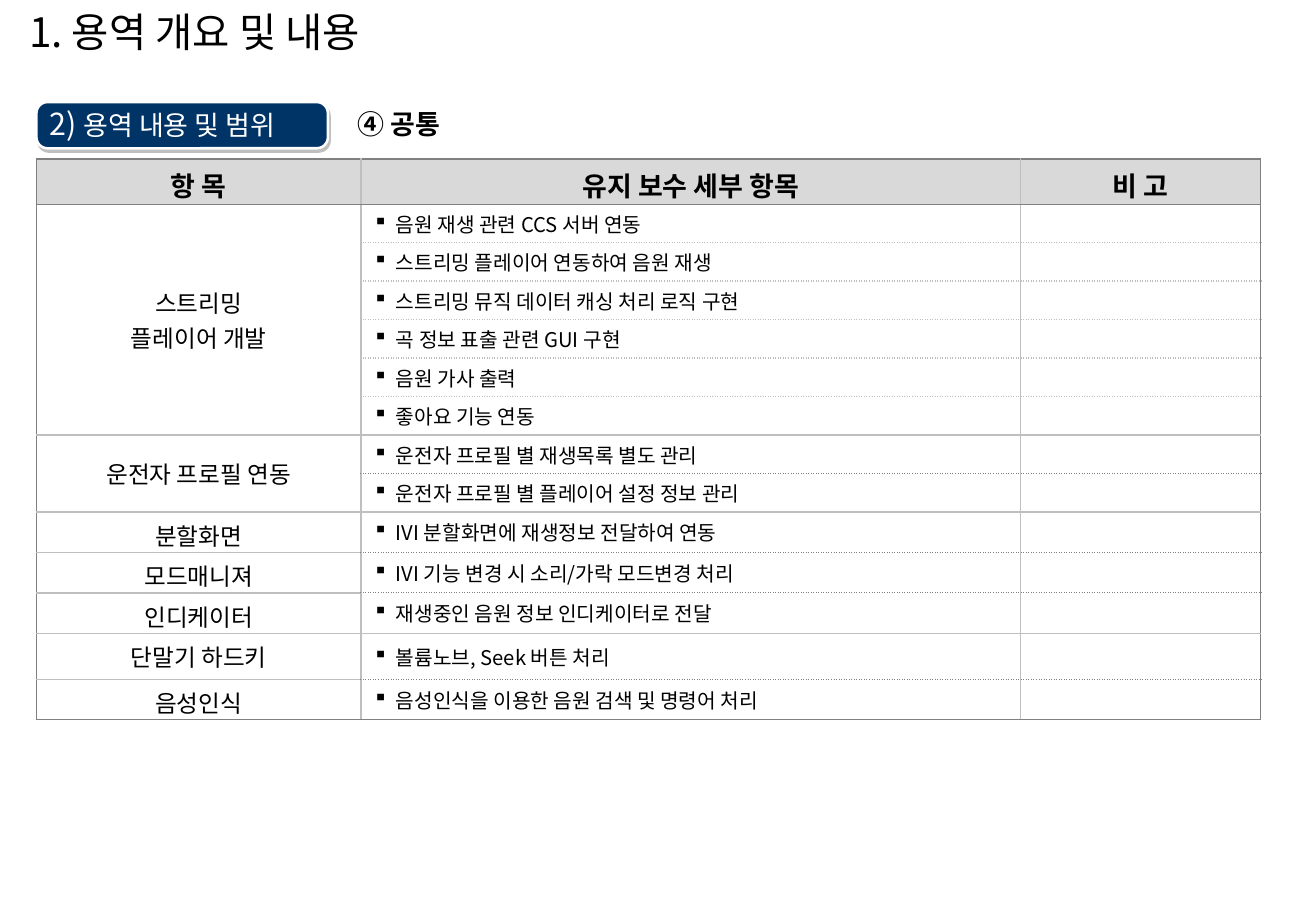
from pptx import Presentation
from pptx.dml.color import RGBColor
from pptx.enum.shapes import MSO_SHAPE as Shape
from pptx.enum.text import MSO_ANCHOR as Anchor, MSO_AUTO_SIZE as Fit, PP_ALIGN as Align
from pptx.oxml.ns import qn
from pptx.util import Pt
from lxml.etree import SubElement as Sub

FONT = "Noto Sans CJK KR"
BLACK, WHITE, NAVY = "000000", "FFFFFF", "003366"
GREY, LIGHT, HEAD = "808080", "BFBFBF", "D9D9D9"

DARK_LINE, LINE = (GREY, 1, "solid"), (LIGHT, 1, "solid")
DOTS, FINE = (LIGHT, 1, "sysDot"), (GREY, 0.5, "sysDot")

COLS = (192.4, 390.8, 142.4)
TITLES = ("항 목", "유지 보수 세부 항목", "비 고")
TOP, SLIM, LOW, TALL = 26.8, 22.8, 24, 27.3
ROWS = [
    ("스트리밍\n플레이어 개발", "음원 재생 관련 CCS 서버 연동", SLIM, DOTS),
    ("", "스트리밍 플레이어 연동하여 음원 재생", SLIM, DOTS),
    ("", "스트리밍 뮤직 데이터 캐싱 처리 로직 구현", SLIM, DOTS),
    ("", "곡 정보 표출 관련 GUI 구현", SLIM, DOTS),
    ("", "음원 가사 출력", SLIM, DOTS),
    ("", "좋아요 기능 연동", SLIM, LINE),
    ("운전자 프로필 연동", "운전자 프로필 별 재생목록 별도 관리", SLIM, FINE),
    ("", "운전자 프로필 별 플레이어 설정 정보 관리", SLIM, LINE),
    ("분할화면", "IVI 분할화면에 재생정보 전달하여 연동", LOW, FINE),
    ("모드매니져", "IVI 기능 변경 시 소리/가락 모드변경 처리", LOW, FINE),
    ("인디케이터", "재생중인 음원 정보 인디케이터로 전달", LOW, LINE),
    ("단말기 하드키", "볼륨노브, Seek 버튼 처리", TALL, FINE),
    ("음성인식", "음성인식을 이용한 음원 검색 및 명령어 처리", LOW, DARK_LINE),
]


def hue(code):
    return RGBColor.from_string(code)


def write(para, text, size=12, color=BLACK, bold=False, align=Align.LEFT, bullet=None):
    props = para._p.get_or_add_pPr()
    if bullet:
        props.set("marL", str(Pt(13.5)))
        props.set("indent", str(-Pt(13.5)))
        Sub(props, qn("a:buChar"), char=bullet)
    para.alignment = align
    if not text:
        Sub(para._p, qn("a:endParaRPr"), sz=str(size * 100))
        return
    run = para.add_run()
    run.text = text
    font = run.font
    font.size, font.bold, font.name = Pt(size), bold, FONT
    font.color.rgb = hue(color)
    Sub(run._r.get_or_add_rPr(), qn("a:ea"), typeface=FONT)


class Page:
    """Holds the deck, its style and the current slide."""

    def __init__(self, width, height):
        self.deck = Presentation()
        self.deck.slide_width, self.deck.slide_height = Pt(width), Pt(height)
        self.slide = self.deck.slides.add_slide(self.deck.slide_layouts[5])
        self.shapes = self.slide.shapes

    def title(self, text, *box):
        head = self.shapes.title
        head.left, head.top, head.width, head.height = map(Pt, box)
        frame = head.text_frame
        frame.auto_size, frame.vertical_anchor = Fit.NONE, Anchor.MIDDLE
        write(frame.paragraphs[0], text, size=24)

    def label(self, text, *box):
        frame = self.shapes.add_textbox(*map(Pt, box)).text_frame
        frame.word_wrap, frame.auto_size = False, Fit.SHAPE_TO_FIT_TEXT
        write(frame.paragraphs[0], text, size=16, bold=True, align=Align.CENTER)

    def badge(self, parts, *box):
        tag = self.shapes.add_shape(Shape.ROUNDED_RECTANGLE, *map(Pt, box))
        tag.adjustments[0] = 0.24
        tag.fill.solid()
        tag.fill.fore_color.rgb = hue(NAVY)
        tag.line.color.rgb, tag.line.width = hue(WHITE), Pt(1.5)
        tag.shadow.inherit = False
        effect = tag._element.spPr.find(qn("a:effectLst"))
        cast = Sub(effect, qn("a:outerShdw"), blurRad="0", dist=str(Pt(2.2)),
                   dir=str(63 * 60000), algn="ctr", rotWithShape="0")
        tint = Sub(cast, qn("a:srgbClr"), val=GREY)
        Sub(tint, qn("a:alpha"), val="50000")
        frame = tag.text_frame
        frame.word_wrap, frame.vertical_anchor = True, Anchor.MIDDLE
        frame.margin_left = Pt(6)
        frame.margin_top = frame.margin_right = frame.margin_bottom = 0
        para = frame.paragraphs[0]
        para.line_spacing = 0.9
        for text, size in parts:
            write(para, text, size=size, color=WHITE)

    def cell(self, cell, text, edges, fill=WHITE, drop=0, **style):
        cell.vertical_anchor = Anchor.MIDDLE
        cell.margin_top, cell.margin_bottom = Pt(drop), 0
        frame = cell.text_frame
        for i, line in enumerate(text.split("\n")):
            write(frame.add_paragraph() if i else frame.paragraphs[0], line, **style)
        props = cell._tc.get_or_add_tcPr()
        for side, edge in zip("LRTB", edges):
            if edge:
                color, width, dash = edge
                line = Sub(props, qn("a:ln" + side), w=str(Pt(width)))
                Sub(Sub(line, qn("a:solidFill")), qn("a:srgbClr"), val=color)
                Sub(line, qn("a:prstDash"), val=dash)
        cell.fill.solid()
        cell.fill.fore_color.rgb = hue(fill)

    def table(self, left, top):
        highs = [TOP] + [row[2] for row in ROWS]
        size = map(Pt, (left, top, sum(COLS), sum(highs)))
        grid = self.shapes.add_table(len(highs), len(COLS), *size).table
        for col, width in zip(grid.columns, COLS):
            col.width = Pt(width)
        for row, high in zip(grid.rows, highs):
            row.height = Pt(high)
        sides = [(DARK_LINE, LINE), (LINE, LINE), (LINE, DARK_LINE)]
        for c, text in enumerate(TITLES):
            self.cell(grid.cell(0, c), text, (*sides[c], DARK_LINE, DARK_LINE),
                      fill=HEAD, drop=3.6, size=16, bold=True, align=Align.CENTER)
        starts = [r for r, row in enumerate(ROWS, 1) if row[0]] + [len(highs)]
        above = near = DARK_LINE
        for r, (name, task, high, under) in enumerate(ROWS, 1):
            base = LINE if r + 1 in starts else None
            if r == len(ROWS):
                base = DARK_LINE
            self.cell(grid.cell(r, 0), name, (*sides[0], near, base),
                      drop=3.6 if high == LOW else 0, size=14, align=Align.CENTER)
            self.cell(grid.cell(r, 1), task, (*sides[1], above, under), bullet="▪")
            self.cell(grid.cell(r, 2), "", (*sides[2], above, under))
            above, near = under, base
        for first, after in zip(starts, starts[1:]):
            if after - first > 1:
                grid.cell(first, 0).merge(grid.cell(after - 1, 0))


def main():
    page = Page(780, 540)
    page.title("1. 용역 개요 및 내용", 10, 1.5, 684, 34)
    page.badge([("2) ", 18), ("용역 내용 및 범위", 16)], 21.6, 60.5, 172.8, 27.4)
    page.label("④ 공통", 203, 60.5, 67, 26.6)
    page.table(21.6, 94.3)
    page.deck.save("out.pptx")


if __name__ == "__main__":
    main()
